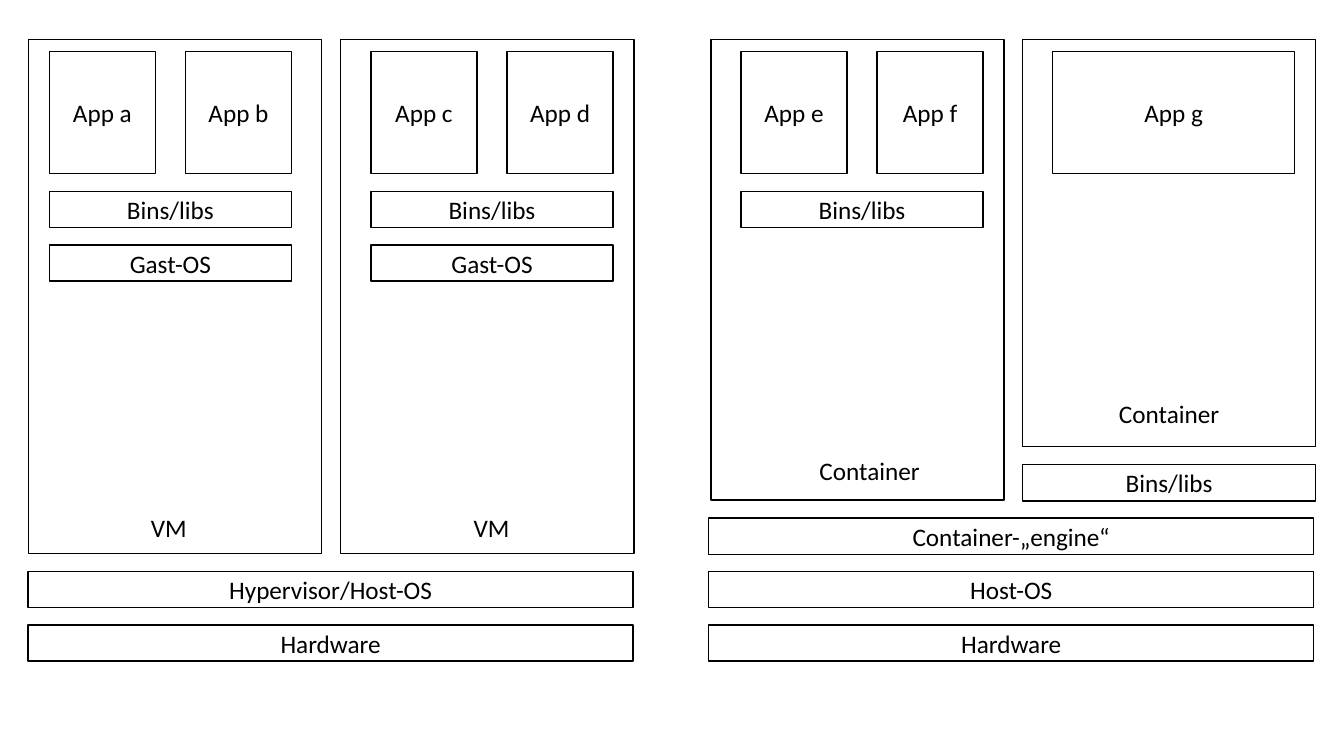
from pptx import Presentation
from pptx.dml.color import RGBColor
from pptx.enum.shapes import MSO_SHAPE
from pptx.enum.text import MSO_ANCHOR, MSO_AUTO_SIZE, PP_ALIGN
from pptx.util import Inches, Pt

RECT = MSO_SHAPE.RECTANGLE
MIDDLE = MSO_ANCHOR.MIDDLE
CENTER = PP_ALIGN.CENTER
GROW = MSO_AUTO_SIZE.SHAPE_TO_FIT_TEXT

# Boxes stand on the bar with the given level, counted from the bottom.
BOXES = [
    {"left": 0.28, "inner": 0.49, "level": 1, "apps": ["App a", "App b"],
     "layers": ["Bins/libs", "Gast-OS"], "label": ("VM", 0.71, 5.03, 1.93)},
    {"left": 3.38, "inner": 3.68, "level": 1, "apps": ["App c", "App d"],
     "layers": ["Bins/libs", "Gast-OS"], "label": ("VM", 3.91, 5.03, 1.93)},
    {"left": 7.05, "inner": 7.35, "level": 2, "apps": ["App e", "App f"],
     "layers": ["Bins/libs"], "label": ("Container", 7.51, 4.47, 2.23)},
    {"left": 10.14, "inner": 10.44, "level": 3, "apps": ["App g"],
     "layers": [], "label": ("Container", 10.48, 3.9, 2.23)},
]
BOX_W, INNER_W, BASE_W = 2.91, 2.4, 6
# Stacks of bars: left, width, lowest level, texts from the bottom up
STACKS = [
    (0.28, BASE_W, 0, ["Hardware", "Hypervisor/Host-OS"]),
    (7.03, BASE_W, 0, ["Hardware", "Host-OS", "Container-„engine“"]),
    (10.14, BOX_W, 3, ["Bins/libs"]),
]
COLORS = {"fill": "FFFFFF", "ink": "000000"}
FONT = {"name": "Calibri", "size": Pt(18)}

BOX_TOP, APP_TOP, APP_H, APP_GAP = 0.39, 0.51, 1.21, 0.3
LAYER_TOP, BASE_TOP = 1.9, 6.2
BAR_H, GAP, LABEL_H = 0.36, 0.18, 0.4
PITCH = 0.53


def color(key):
    """Return a colour of the palette."""
    return RGBColor.from_string(COLORS[key])


def write(frame, text):
    """Put one centred line of text into a frame."""
    frame.word_wrap = True
    line = frame.paragraphs[0]
    line.alignment = CENTER
    run = line.add_run()
    run.text = text
    for key, value in FONT.items():
        setattr(run.font, key, value)
    run.font.color.rgb = color("ink")


def block(left, top, width, height, text=""):
    """Draw an outlined rectangle, with text if given."""
    shape = shapes.add_shape(RECT, *map(Inches, (left, top, width, height)))
    shape.shadow.inherit = False
    shape.fill.solid()
    shape.fill.fore_color.rgb = color("fill")
    shape.line.color.rgb = color("ink")
    shape.line.width = Pt(1)
    if text:
        shape.text_frame.vertical_anchor = MIDDLE
        write(shape.text_frame, text)


def label(text, left, top, width):
    """Add the caption of a box."""
    area = shapes.add_textbox(*map(Inches, (left, top, width, LABEL_H)))
    write(area.text_frame, text)
    area.text_frame.auto_size = GROW


def level_top(level):
    """Return the top of a bar counted from the bottom."""
    return BASE_TOP - level * PITCH


def draw_box(box):
    """Draw a VM or container with its apps, layers and caption."""
    bottom = level_top(box["level"]) - GAP
    block(box["left"], BOX_TOP, BOX_W, bottom - BOX_TOP)
    count = len(box["apps"])
    width = (INNER_W - (count - 1) * APP_GAP) / count
    for col, app in enumerate(box["apps"]):
        left = box["inner"] + col * (width + APP_GAP)
        block(left, APP_TOP, width, APP_H, app)
    for row, layer in enumerate(box["layers"]):
        block(box["inner"], LAYER_TOP + row * PITCH, INNER_W, BAR_H, layer)
    label(*box["label"])


deck = Presentation()
deck.slide_width, deck.slide_height = Inches(13.33), Inches(7.5)
BLANK = deck.slide_layouts[6]
shapes = deck.slides.add_slide(BLANK).shapes

for box in BOXES:
    draw_box(box)
for left, width, low, bars in STACKS:
    for level, text in enumerate(bars, low):
        block(left, level_top(level), width, BAR_H, text)

deck.save("out.pptx")
